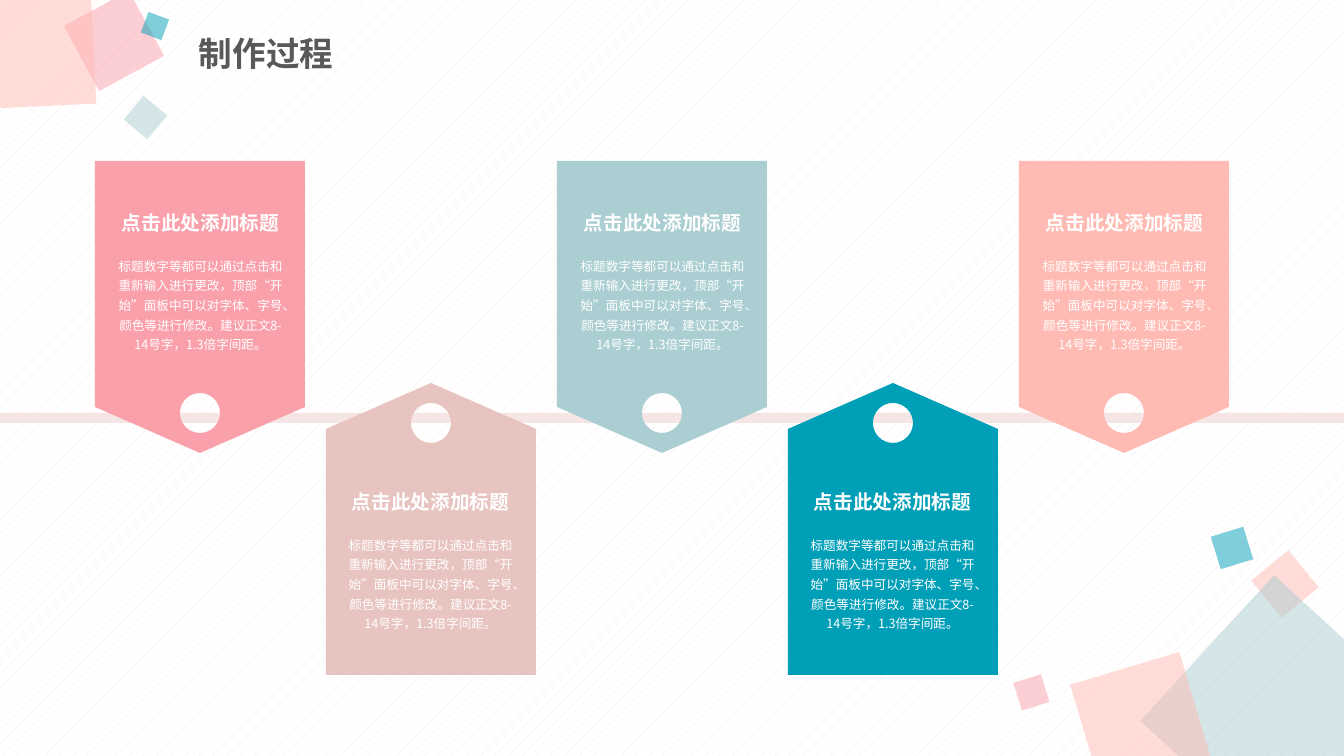
from lxml.etree import SubElement
from pptx import Presentation
from pptx.dml.color import RGBColor
from pptx.enum.dml import MSO_PATTERN
from pptx.enum.shapes import MSO_SHAPE
from pptx.enum.text import MSO_ANCHOR, MSO_AUTO_SIZE, PP_ALIGN
from pptx.oxml.ns import qn
from pptx.util import Pt

EMU_PER_PIXEL = 914400 / 100.8
SANS = "Noto Sans CJK SC"
HEADING = "点击此处添加标题"
BODY = ("标题数字等都可以通过点击和重新输入进行更改，顶部“开始”面板中可以对字体、"
        "字号、颜色等进行修改。建议正文8-14号字，1.3倍字间距。")

CORNER_SQUARES = [
    (1261, 560, 48, 320.6, "FFBBB3"),
    (1181, 616, 198, 42.6, "AACED2"),
    (1084, 666, 114, 343.4, "FFBBB3"),
    (1017, 678, 29, 342.8, "FAA0AA"),
    (1215, 531, 34, 342.8, "009FB8"),
    (77, 4, 74, 331.6, "FAA0AA"),
    (-46, -32, 139, 357.2, "FFBBB3"),
    (130, 102, 31, 309.8, "AACED2"),
    (144, 15, 22, 290.5, "009FB8"),
]
TAG_COLORS = ["FAA0AA", "E8C4C1", "AACED2", "009FB8", "FFBBB3"]
TAG_LEFT, TAG_PITCH, TAG_WIDTH, TAG_HEIGHT = 95, 231, 210, 292
HANGING_TOP, STANDING_TOP = 161, 383


def emu(pixels):
    """Turn pixels into EMU."""
    return round(pixels * EMU_PER_PIXEL)


def color(hex_string):
    """Turn a hex string into a colour."""
    return RGBColor.from_string(hex_string)


def paint(shape, fill):
    """Give a shape a plain fill without line or shadow."""
    shape.shadow.inherit = False
    shape.fill.solid()
    shape.fill.fore_color.rgb = color(fill)
    shape.line.fill.background()


def add_rectangle(slide, left, top, width, height, fill):
    """Add a plain rectangle."""
    shape = slide.shapes.add_shape(
        MSO_SHAPE.RECTANGLE, emu(left), emu(top), emu(width), emu(height))
    paint(shape, fill)
    return shape


def add_text(slide, box, text, size, text_color, latin=SANS, bold=False, spacing=1.3):
    """Add a wrapped text box holding one paragraph."""
    text_frame = slide.shapes.add_textbox(*map(emu, box)).text_frame
    text_frame.word_wrap = True
    text_frame.text = text
    paragraph = text_frame.paragraphs[0]
    paragraph.line_spacing = spacing
    font = paragraph.runs[0].font
    font.size, font.bold, font.name = Pt(size), bold, latin
    font.color.rgb = color(text_color)
    properties = paragraph.runs[0]._r.get_or_add_rPr()
    properties.set("lang", "zh-CN")
    SubElement(properties, qn("a:ea")).set("typeface", SANS)
    return text_frame


def add_background(slide):
    """Fill the background with a faint pattern and the corner squares."""
    fill = slide.background.fill
    fill.patterned()
    fill.pattern = MSO_PATTERN.PERCENT_5
    fill.fore_color.rgb = color("F5E5E4")
    fill.back_color.rgb = color("FFFFFF")
    for left, top, side, angle, square_color in CORNER_SQUARES:
        square = add_rectangle(slide, left, top, side, side, square_color)
        square.rotation = angle
        solid = square._element.spPr.find(qn("a:solidFill"))
        SubElement(solid[0], qn("a:alpha")).set("val", "50000")


def add_title(slide, box):
    """Add the slide title."""
    text_frame = add_text(slide, box, "制作过程", 24, "595959", bold=True, spacing=0.9)
    text_frame.vertical_anchor = MSO_ANCHOR.MIDDLE
    text_frame.paragraphs[0].space_before = Pt(10)


def add_path_step(outline, name, points):
    """Append one drawing step to a freeform outline."""
    step = SubElement(outline, qn(name))
    for x, y in points:
        point = SubElement(step, qn("a:pt"))
        point.set("x", str(emu(x)))
        point.set("y", str(emu(y)))


def punch_hole(shape, center_x, center_y, radius):
    """Cut a round hole, placed relative to the shape, out of a freeform."""
    outline = next(shape._element.iter(qn("a:path")))
    handle = 0.55
    quarters = [
        [(1, -handle), (handle, -1), (0, -1)],
        [(-handle, -1), (-1, -handle), (-1, 0)],
        [(-1, handle), (-handle, 1), (0, 1)],
        [(handle, 1), (1, handle), (1, 0)],
    ]
    add_path_step(outline, "a:moveTo", [(center_x + radius, center_y)])
    for quarter in quarters:
        add_path_step(outline, "a:cubicBezTo",
                      [(center_x + radius * x, center_y + radius * y) for x, y in quarter])
    add_path_step(outline, "a:close", [])


def add_tag(slide, left, top, width, height, fill, hanging):
    """Add a pointed tag with a punched hole, a heading and a body."""
    shoulder, hole_depth, radius = 46, 40, 20
    center = left + width / 2
    tip, end, inward = (top + height, top, -1) if hanging else (top, top + height, 1)
    shoulder_y, hole_y = tip + inward * shoulder, tip + inward * hole_depth
    corners = [(center, tip), (left + width, shoulder_y), (left + width, end),
               (left, end), (left, shoulder_y)]
    corners = [(emu(x), emu(y)) for x, y in corners]
    builder = slide.shapes.build_freeform(*corners[0])
    builder.add_line_segments(corners[1:], close=True)
    tag = builder.convert_to_shape()
    punch_hole(tag, width / 2, hole_y - top, radius)
    paint(tag, fill)

    text_left = left + (11 if hanging else 10)
    text_top = top + (38 if hanging else 95)
    body = add_text(slide, (text_left, text_top + 50, 189, 110), BODY, 9, "FFFFFF")
    heading = add_text(slide, (text_left, text_top, 189, 41), HEADING, 14, "FFFFFF",
                       latin="Quicksand", bold=True)
    for text_frame in (body, heading):
        text_frame.auto_size = MSO_AUTO_SIZE.SHAPE_TO_FIT_TEXT
        text_frame.paragraphs[0].alignment = PP_ALIGN.CENTER


def add_timeline(slide):
    """Add the band and the tags that alternate above and below it."""
    add_rectangle(slide, 0, 413, 1344, 10, "F5E5E4")
    for index, tag_color in enumerate(TAG_COLORS):
        hanging = index % 2 == 0
        top = HANGING_TOP if hanging else STANDING_TOP
        add_tag(slide, TAG_LEFT + index * TAG_PITCH, top, TAG_WIDTH, TAG_HEIGHT,
                tag_color, hanging)


def main():
    """Build and save the presentation."""
    presentation = Presentation()
    presentation.slide_width, presentation.slide_height = emu(1344), emu(756)
    slide = presentation.slides.add_slide(presentation.slide_layouts[6])
    add_background(slide)
    add_title(slide, (189, 27, 618, 58))
    add_timeline(slide)
    presentation.save("out.pptx")


main()
